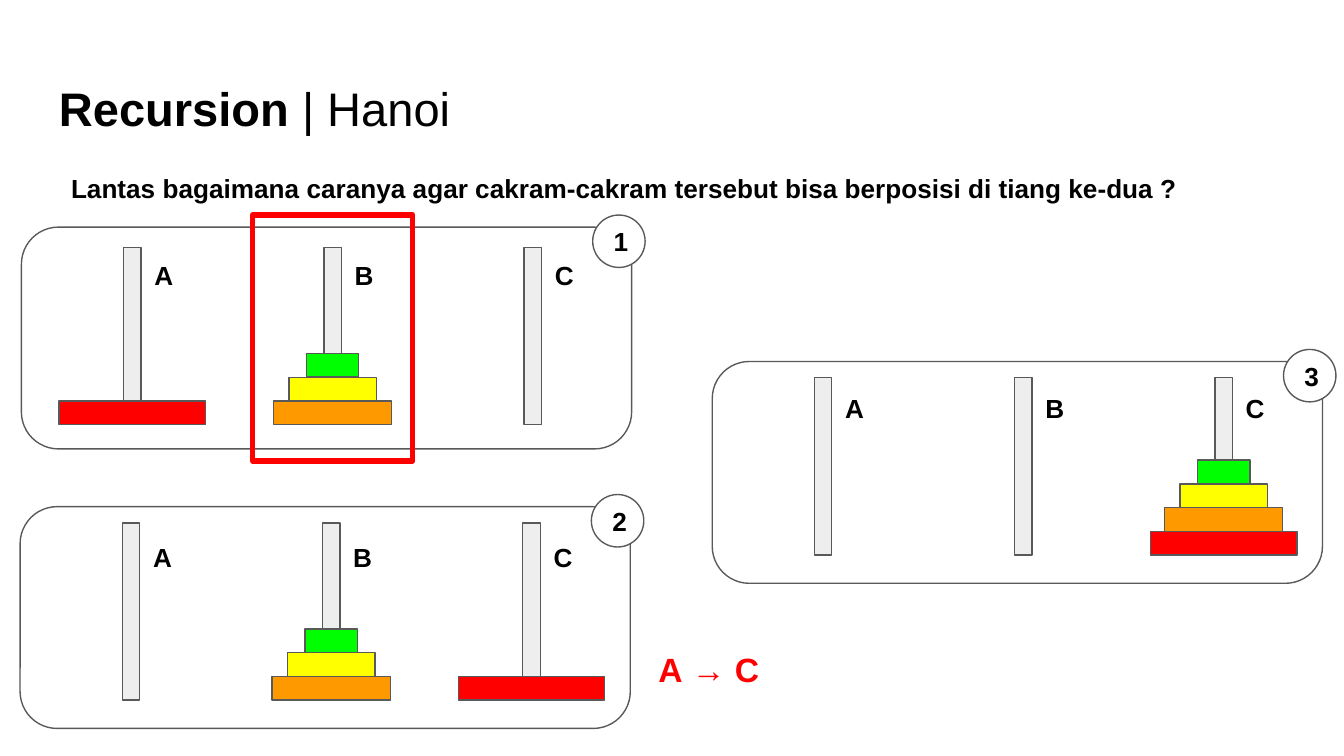
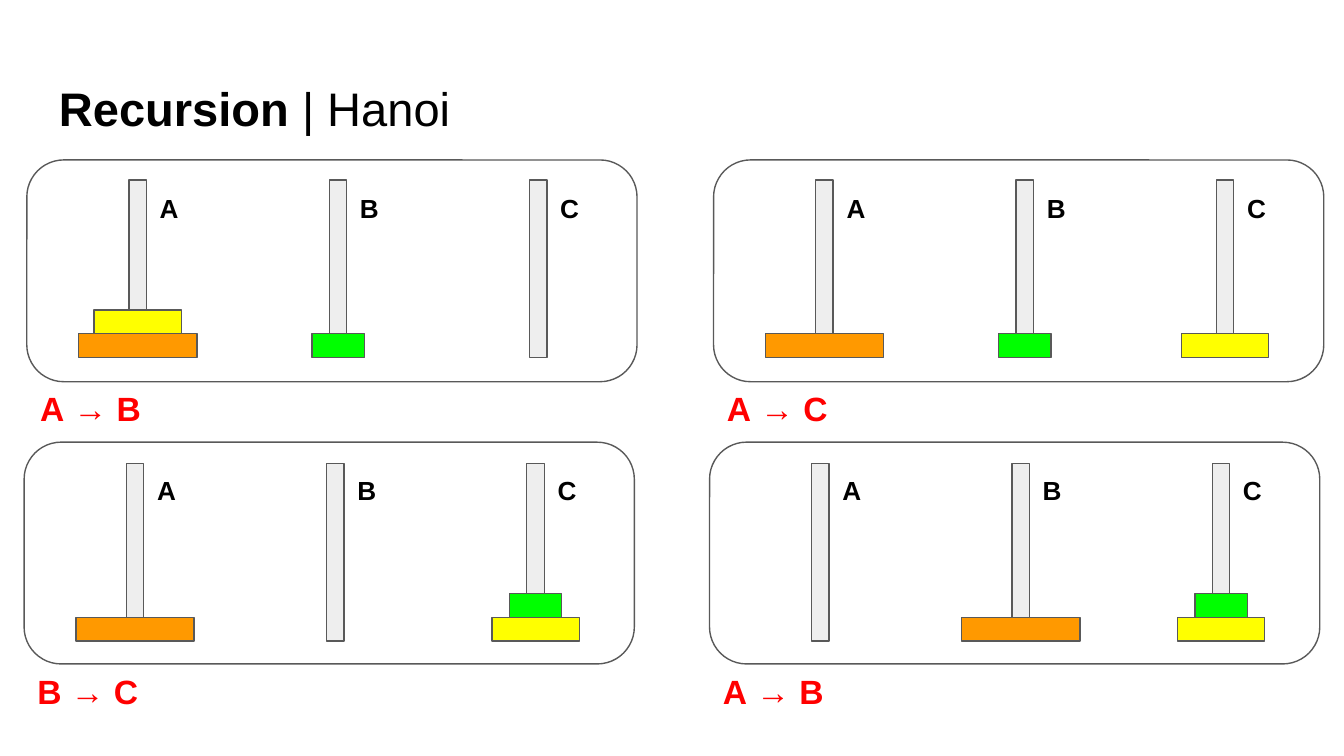
from pptx import Presentation
from pptx.dml.color import RGBColor
from pptx.enum.shapes import MSO_SHAPE as Shape
from pptx.enum.text import MSO_ANCHOR as Anchor, PP_ALIGN as Align
from pptx.util import Inches, Pt

BLACK = RGBColor(0x00, 0x00, 0x00)
WHITE = RGBColor(0xFF, 0xFF, 0xFF)
GREY = RGBColor(0x59, 0x59, 0x59)
PALE = RGBColor(0xEE, 0xEE, 0xEE)
RED = RGBColor(0xFF, 0x00, 0x00)
ORANGE = RGBColor(0xFF, 0x99, 0x00)
YELLOW = RGBColor(0xFF, 0xFF, 0x00)
GREEN = RGBColor(0x00, 0xFF, 0x00)

DISCS = {"r": (1.09, RED), "o": (0.88, ORANGE), "y": (0.65, YELLOW), "g": (0.39, GREEN)}
ROD_W, ROD_H, PITCH = 0.13, 1.32, 1.49
DISC_H = 0.53 / 3

TITLE = [("Recursion ", True), ("| Hanoi", False)]
ASK = "Lantas bagaimana caranya agar cakram-cakram tersebut bisa berposisi di tiang ke-dua ?"

BOARDS = [
    [
        (0.16, 1.69, 1.84, 1.83, ("r", "oyg", ""), "1", "", 0, 0),
        (0.15, 3.77, 3.89, 3.93, ("", "oyg", "r"), "2", "AC", 4.8, 4.73),
        (5.3, 2.69, 2.81, 2.82, ("", "", "royg"), "3", "", 0, 0),
    ],
    [
        (0.2, 1.19, 1.34, 1.33, ("oy", "g", ""), "", "AB", 0.2, 2.79),
        (5.31, 1.19, 1.34, 1.33, ("o", "g", "y"), "", "AC", 5.31, 2.79),
        (0.18, 3.29, 3.45, 3.43, ("o", "", "yg"), "", "BC", 0.18, 4.89),
        (5.28, 3.29, 3.45, 3.43, ("", "o", "yg"), "", "AB", 5.28, 4.89),
    ],
]


def draw(slide, kind, x, y, w, h, fill=None, line=GREY, thick=0.75):
    form = slide.shapes.add_shape(kind, Inches(x), Inches(y), Inches(w), Inches(h))
    form.shadow.inherit = False
    if fill is None:
        form.fill.background()
    else:
        form.fill.solid()
        form.fill.fore_color.rgb = fill
    form.line.color.rgb = line
    form.line.width = Pt(thick)
    return form


def write(form, runs, size, color=BLACK):
    frame = form.text_frame
    frame.word_wrap = True
    frame.margin_left = frame.margin_right = Inches(0.1)
    frame.margin_top = frame.margin_bottom = Inches(0.1)
    para = frame.paragraphs[0]
    para.font.name = "Arial"
    para.font.size = Pt(size)
    para.font.color.rgb = color
    for words, bold in runs:
        run = para.add_run()
        run.text = words
        run.font.bold = bold
    return frame


deck = Presentation()
deck.slide_width = Inches(10)
deck.slide_height = Inches(10) * 9 // 16

for page, boards in enumerate(BOARDS):
    slide = deck.slides.add_slide(deck.slide_layouts[6])
    add_box = slide.shapes.add_textbox
    head = add_box(Inches(0.34), Inches(0.49), Inches(9.32), Inches(0.63))
    write(head, TITLE, 25.2).vertical_anchor = Anchor.MIDDLE

    for left, top, rod_y, tag_y, stacks, num, move, move_x, move_y in boards:
        draw(slide, Shape.ROUNDED_RECTANGLE, left, top, 4.54, 1.65)
        for col, (name, stack) in enumerate(zip("ABC", stacks)):
            rod_x = left + 0.76 + col * PITCH
            draw(slide, Shape.RECTANGLE, rod_x, rod_y, ROD_W, ROD_H, PALE)
            for level, key in enumerate(stack, 1):
                wide, color = DISCS[key]
                disc_x = rod_x + (ROD_W - wide) / 2
                disc_y = rod_y + ROD_H - level * DISC_H
                draw(slide, Shape.RECTANGLE, disc_x, disc_y, wide, DISC_H, color)
            tag = add_box(Inches(rod_x + 0.13), Inches(tag_y), Inches(0.39), Inches(0.44))
            write(tag, [(name, True)], 14)
        if num:
            badge = draw(slide, Shape.OVAL, left + 4.25, top - 0.09, 0.39, 0.39, WHITE)
            frame = write(badge, [(num, True)], 14)
            frame.vertical_anchor = Anchor.MIDDLE
            frame.paragraphs[0].alignment = Align.CENTER
        if move:
            step = add_box(Inches(move_x), Inches(move_y), Inches(1.33), Inches(0.5))
            write(step, [(move[0], True), (" → ", False), (move[1], True)], 18, RED)

    if page == 0:
        ask = add_box(Inches(0.43), Inches(1.18), Inches(8.48), Inches(0.44))
        write(ask, [(ASK, True)], 14)
        draw(slide, Shape.RECTANGLE, 1.88, 1.6, 1.19, 1.83, line=RED, thick=3)

deck.save("out.pptx")
